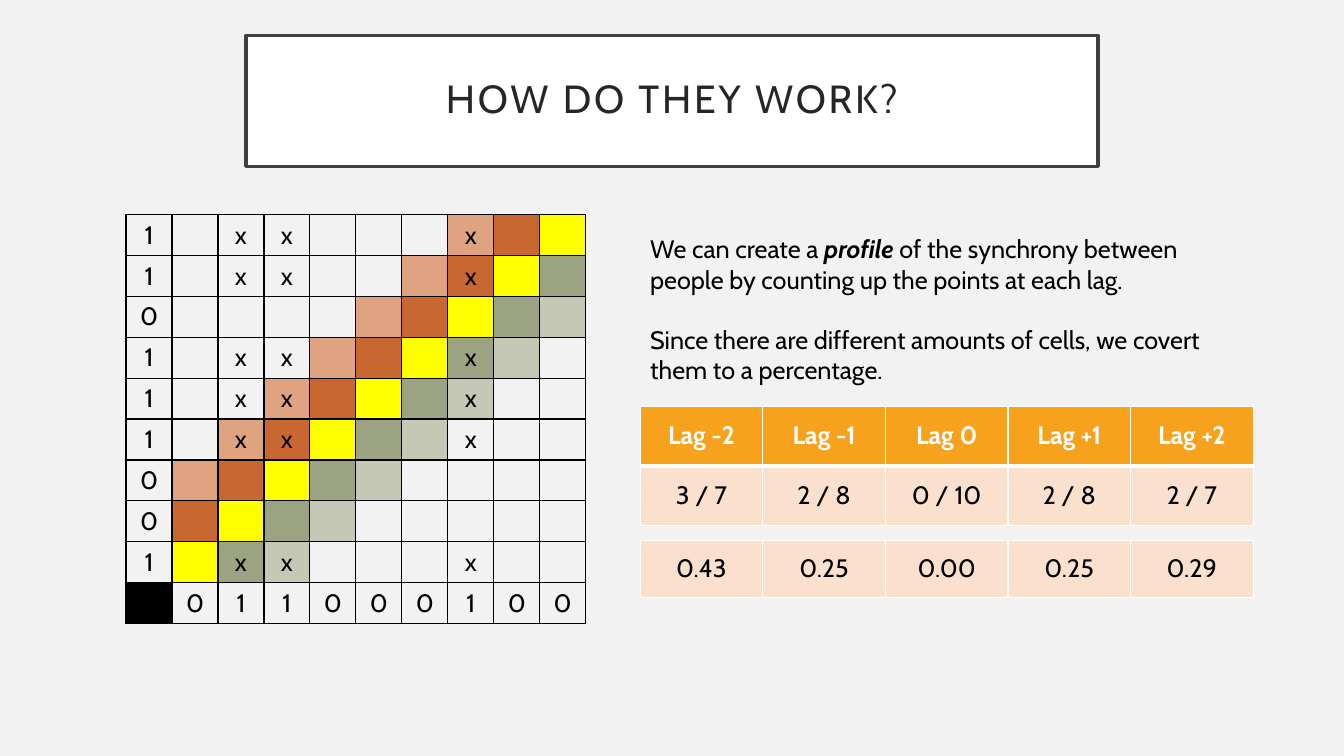
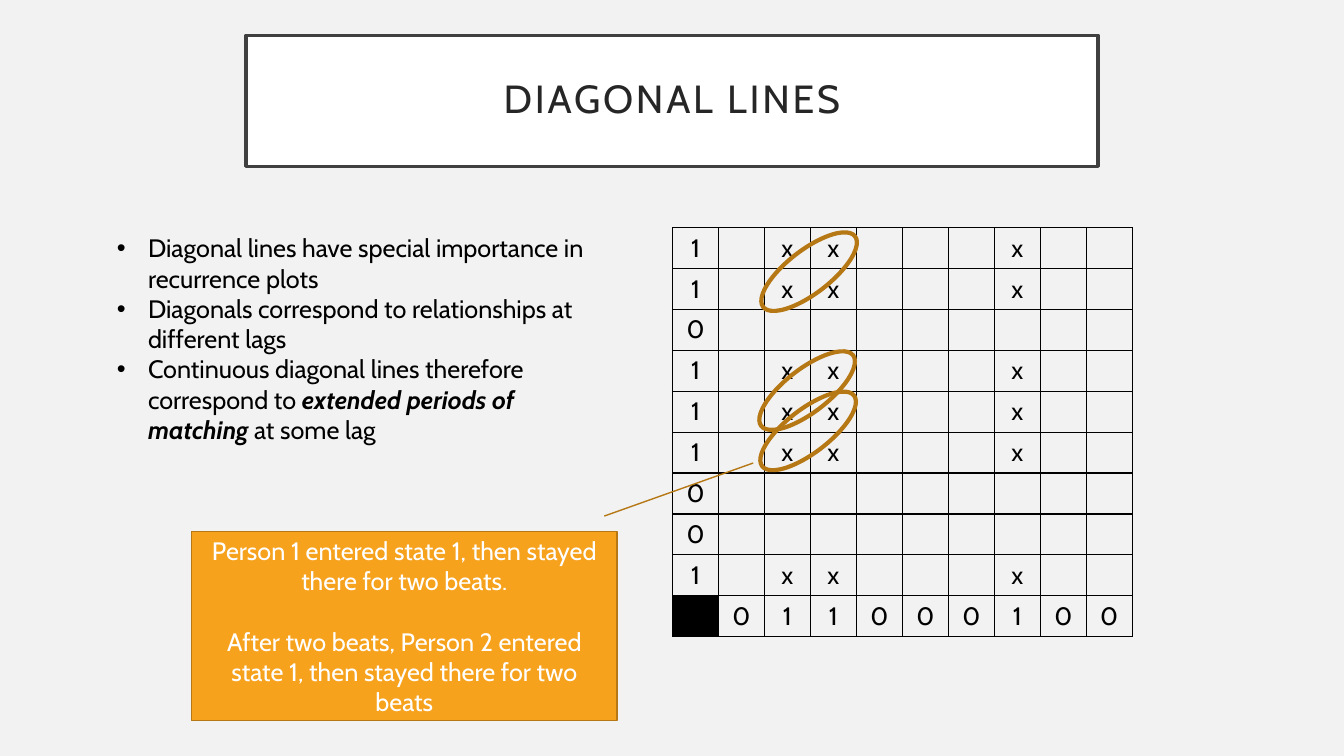
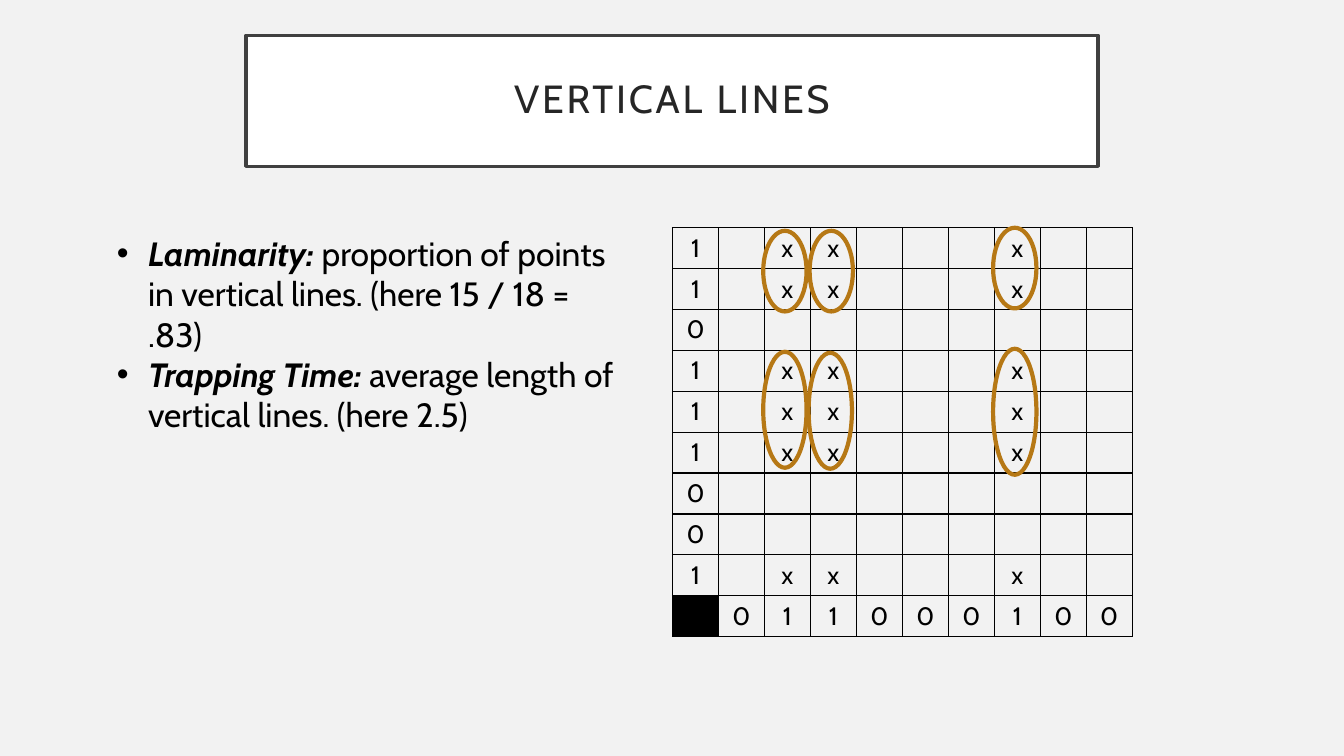
from dataclasses import dataclass

from lxml.etree import SubElement
from pptx import Presentation
from pptx.dml.color import RGBColor
from pptx.enum.shapes import MSO_SHAPE as Preset
from pptx.enum.text import MSO_ANCHOR as Anchor, MSO_AUTO_SIZE as AutoSize, PP_ALIGN as Align
from pptx.oxml.ns import qn
from pptx.util import Inches, Pt


@dataclass(frozen=True)
class Theme:
    font: str = "Cabin"
    background: str = "F2F2F2"
    white: str = "FFFFFF"
    black: str = "000000"
    title_text: str = "262626"
    title_line: str = "404040"
    accent: str = "F6A21D"
    accent_dark: str = "B67815"
    pale: str = "FBE0CD"
    title_size: int = 28
    body_size: int = 18
    large_size: int = 24
    paragraph_gap: float = 21.6


THEME = Theme()
LAG_COLOURS = {-2: "E0A382", -1: "C96731", 0: "FFFF00", 1: "9CA383", 2: "C4C8B5"}

# States of the two people, beat by beat
PERSON_UP = "110111001"  # top to bottom
PERSON_ACROSS = "011000100"  # left to right
GRID_SIZE = (4.56, 4)
GRID_RIGHT = (6.67, 2.26)


def colour(value):
    return RGBColor.from_string(value)


def box(left, top, width, height):
    return [Inches(length) for length in (left, top, width, height)]


# Text
def add_run(paragraph, text, size=THEME.body_size, fill=THEME.black, bold=False, italic=False):
    run = paragraph.add_run()
    run.text = text
    font = run.font
    font.name, font.size, font.bold, font.italic = THEME.font, Pt(size), bold, italic
    font.color.rgb = colour(fill)
    return run


def add_bullet(paragraph):
    properties = paragraph._p.get_or_add_pPr()
    properties.set("marL", str(Inches(0.31)))
    properties.set("indent", str(-Inches(0.31)))
    SubElement(properties, qn("a:buFont"), typeface="Arial")
    SubElement(properties, qn("a:buChar"), char="•")


def fill_text(frame, paragraphs, size=THEME.body_size, fill=THEME.black,
              align=Align.LEFT, gap=0, bullets=False):
    """Each paragraph is a list of runs: (text, emphasised)."""
    frame.word_wrap = True
    for index, runs in enumerate(paragraphs):
        paragraph = frame.add_paragraph() if index else frame.paragraphs[0]
        if bullets:
            add_bullet(paragraph)
        paragraph.alignment = align
        if index and gap:
            paragraph.space_before = Pt(gap)
        for text, emphasised in runs:
            add_run(paragraph, text, size, fill, emphasised, emphasised)


def add_text(slide, at, paragraphs, **style):
    frame = slide.shapes.add_textbox(*box(*at)).text_frame
    fill_text(frame, paragraphs, **style)
    frame.auto_size = AutoSize.SHAPE_TO_FIT_TEXT


# Slides
def add_titled_slide(presentation, text):
    slide = presentation.slides.add_slide(presentation.slide_layouts[5])
    title = slide.shapes.title
    title.left, title.top, title.width, title.height = box(2.44, 0.35, 8.45, 1.3)
    title.fill.solid()
    title.fill.fore_color.rgb = colour(THEME.white)
    title.line.color.rgb = colour(THEME.title_line)
    title.line.width = Pt(2.5)
    frame = title.text_frame
    frame.auto_size, frame.word_wrap = AutoSize.NONE, True
    frame.vertical_anchor = Anchor.MIDDLE
    frame.margin_left = frame.margin_right = Inches(0.2)
    frame.margin_top = frame.margin_bottom = Inches(0.2)
    paragraph = frame.paragraphs[0]
    paragraph.alignment, paragraph.line_spacing = Align.CENTER, 0.9
    run = add_run(paragraph, text, THEME.title_size, THEME.title_text)
    run.font._element.set("spc", "200")
    return slide


# Tables
def set_borders(cell, line_colour, top=1, bottom=1):
    properties = cell._tc.get_or_add_tcPr()
    for side, width in (("L", 1), ("R", 1), ("T", top), ("B", bottom)):
        line = SubElement(properties, qn(f"a:ln{side}"), w=str(Pt(width)))
        SubElement(SubElement(line, qn("a:solidFill")), qn("a:srgbClr"), val=line_colour)


def set_cell(cell, text, fill=None, text_colour=THEME.black, bold=False):
    if fill:
        cell.fill.solid()
        cell.fill.fore_color.rgb = colour(fill)
    else:
        cell.fill.background()
    cell.vertical_anchor = Anchor.MIDDLE
    paragraph = cell.text_frame.paragraphs[0]
    paragraph.alignment = Align.CENTER
    if text:
        add_run(paragraph, text, fill=text_colour, bold=bold)


def add_plain_table(slide, at, row_count, column_count):
    table = slide.shapes.add_table(row_count, column_count, *box(*at)).table
    table.first_row = table.horz_banding = False
    for column in table.columns:
        column.width = Inches(at[2] / column_count)
    for row in table.rows:
        row.height = Inches(at[3] / row_count)
    return table


def add_recurrence_grid(slide, position, lag_colours=None):
    lag_colours = lag_colours or {}
    beats = len(PERSON_UP)
    table = add_plain_table(slide, (*position, *GRID_SIZE), beats + 1, beats + 1)
    for row in range(beats + 1):
        for column in range(beats + 1):
            fill = None
            if row == beats and column == 0:
                text, fill = "", THEME.black
            elif row == beats:
                text = PERSON_ACROSS[column - 1]
            elif column == 0:
                text = PERSON_UP[row]
            else:
                text = "x" if PERSON_UP[row] == PERSON_ACROSS[column - 1] == "1" else ""
                fill = lag_colours.get(column + row - beats)
            cell = table.cell(row, column)
            set_borders(cell, THEME.black)
            set_cell(cell, text, fill)


def add_lag_table(slide, at, rows, header=False):
    table = add_plain_table(slide, at, len(rows), len(rows[0]))
    for row, texts in enumerate(rows):
        is_header = header and row == 0
        for column, text in enumerate(texts):
            cell = table.cell(row, column)
            set_borders(cell, THEME.white, top=3 if header and row == 1 else 1,
                        bottom=3 if is_header else 1)
            if is_header:
                set_cell(cell, text, THEME.accent, THEME.white, bold=True)
            else:
                set_cell(cell, text, THEME.pale)


# Marks on the grid
def add_loop(slide, left, top, height, rotation=0):
    loop = slide.shapes.add_shape(Preset.OVAL, *box(left, top, 0.43, height))
    loop.shadow.inherit = False
    loop.rotation = rotation
    loop.fill.background()
    loop.line.color.rgb = colour(THEME.accent_dark)
    loop.line.width = Pt(3)


def add_callout(slide, at, pointer, paragraphs):
    callout = slide.shapes.add_shape(Preset.LINE_CALLOUT_1, *box(*at))
    callout.shadow.inherit = False
    for index, value in enumerate(pointer):
        callout.adjustments[index] = value
    callout.fill.solid()
    callout.fill.fore_color.rgb = colour(THEME.accent)
    callout.line.color.rgb = colour(THEME.accent_dark)
    callout.line.width = Pt(1)
    callout.text_frame.vertical_anchor = Anchor.MIDDLE
    fill_text(callout.text_frame, paragraphs, fill=THEME.white,
              align=Align.CENTER, gap=THEME.paragraph_gap)


# The three slides
def build_profile_slide(presentation):
    slide = add_titled_slide(presentation, "HOW DO THEY WORK?")
    add_recurrence_grid(slide, (1.25, 2.13), LAG_COLOURS)
    lags = ["Lag -2", "Lag -1", "Lag 0", "Lag +1", "Lag +2"]
    counts = [(3, 7), (2, 8), (0, 10), (2, 8), (2, 7)]
    fractions = [f"{points} / {cells}" for points, cells in counts]
    shares = [f"{points / cells:.2f}" for points, cells in counts]
    add_lag_table(slide, (6.35, 4.03, 6.08, 1.18), [lags, fractions], header=True)
    add_text(slide, (6.35, 2.27, 6.08, 1.62), [
        [("We can create a ", False), ("profile", True),
         (" of the synchrony between people by counting up the points at each lag.", False)],
        [("Since there are different amounts of cells, we covert them to a percentage.", False)],
    ], gap=THEME.paragraph_gap)
    add_lag_table(slide, (6.35, 5.36, 6.08, 0.57), [shares])


def build_diagonal_slide(presentation):
    slide = add_titled_slide(presentation, "DIAGONAL LINES")
    add_recurrence_grid(slide, GRID_RIGHT)
    add_text(slide, (1.06, 2.26, 5.15, 2.22), [
        [("Diagonal lines have special importance in recurrence plots", False)],
        [("Diagonals correspond to relationships at different lags", False)],
        [("Continuous diagonal lines therefore correspond to ", False),
         ("extended periods of matching ", True), ("at some lag", False)],
    ], bullets=True)
    for left, top in ((7.79, 3.3), (7.8, 3.7), (7.81, 2.12)):
        add_loop(slide, left, top, 1.15, rotation=52.4)
    add_callout(slide, (1.9, 5.27, 4.22, 1.88), (-0.08, 0.97, -0.36, 1.32), [
        [("Person 1 entered state 1, then stayed there for two beats.", False)],
        [("After two beats, Person 2 entered state 1, then stayed there for two beats", False)],
    ])


def build_vertical_slide(presentation):
    slide = add_titled_slide(presentation, "VERTICAL LINES")
    add_recurrence_grid(slide, GRID_RIGHT)
    add_text(slide, (1.06, 2.26, 5.15, 2.52), [
        [("Laminarity:", True),
         (" proportion of points in vertical lines. (here 15 / 18 = .83)", False)],
        [("Trapping Time:", True), (" average length of vertical lines. (here 2.5)", False)],
    ], size=THEME.large_size, bullets=True)
    for left, top, height in ((7.57, 3.49, 1.15), (8.02, 3.5, 1.15), (7.57, 2.29, 0.8),
                              (8.03, 2.29, 0.8), (9.85, 2.26, 0.8), (9.85, 3.46, 1.25)):
        add_loop(slide, left, top, height)


def main():
    presentation = Presentation()
    presentation.slide_width, presentation.slide_height = Inches(13.33), Inches(7.5)
    background = presentation.slide_master.background.fill
    background.solid()
    background.fore_color.rgb = colour(THEME.background)
    build_profile_slide(presentation)
    build_diagonal_slide(presentation)
    build_vertical_slide(presentation)
    presentation.save("out.pptx")


if __name__ == "__main__":
    main()
